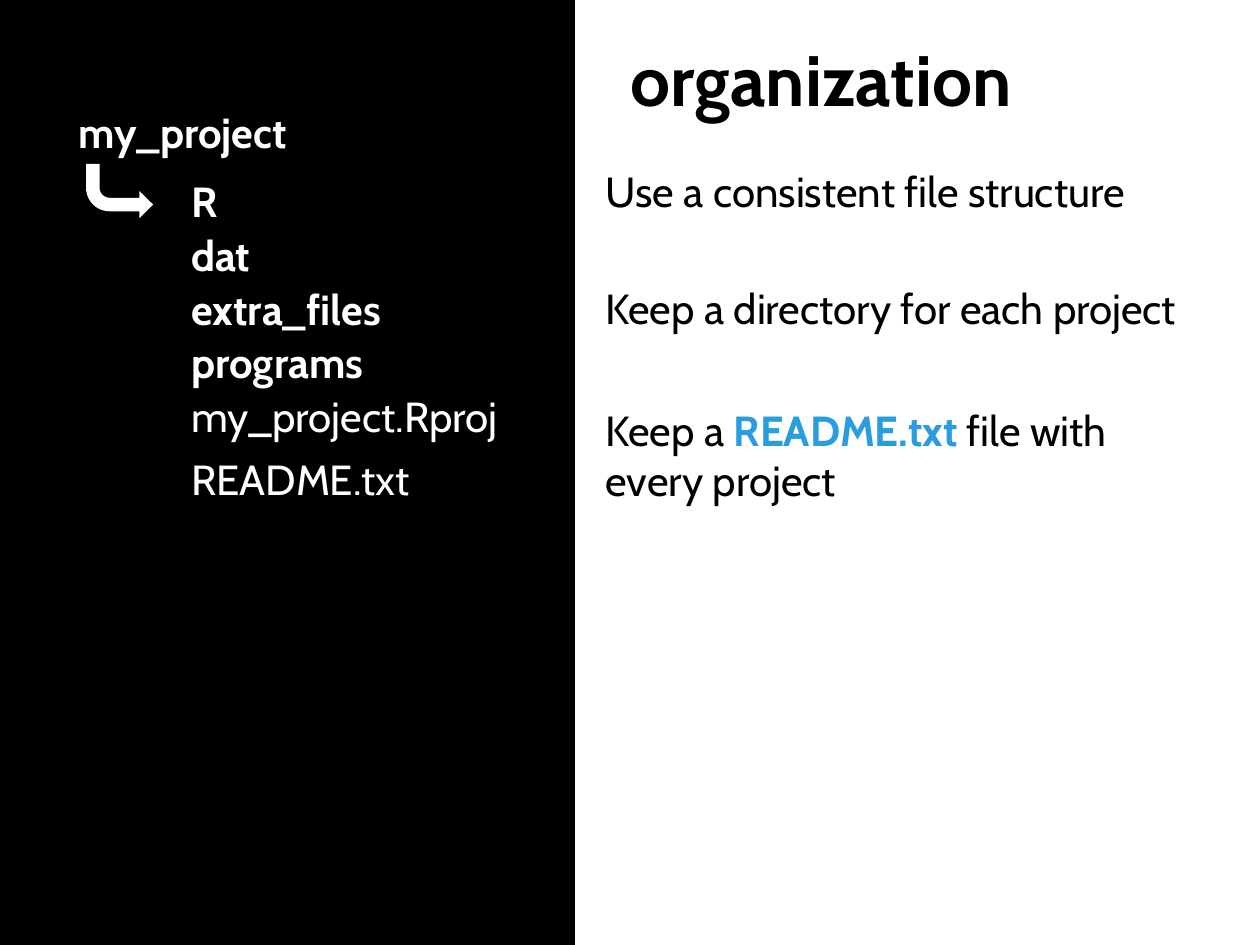
from pptx import Presentation
from pptx.dml.color import RGBColor
from pptx.enum.shapes import MSO_SHAPE
from pptx.enum.text import MSO_ANCHOR, MSO_AUTO_SIZE, PP_ALIGN
from pptx.oxml.ns import qn
from pptx.util import Emu, Pt

RECT, BENT_ARROW = MSO_SHAPE.RECTANGLE, MSO_SHAPE.BENT_ARROW
TOP, MIDDLE = MSO_ANCHOR.TOP, MSO_ANCHOR.MIDDLE
LEFT, CENTER = PP_ALIGN.LEFT, PP_ALIGN.CENTER
NO_FIT = MSO_AUTO_SIZE.NONE

THEME = {
    "font": "Cabin",
    "black": "000000", "white": "FFFFFF", "accent": "2A9DDF",
    "title": 40.7, "text": 24,
}

# A paragraph is (space before in pt, runs); a run is (text, bold, colour)
TITLE = [(0, [("organization", True, "black")])]
ADVICE = [
    (0, [("Use a consistent file structure", False, "black")]),
    (38, [("Keep a directory for each project", False, "black")]),
    (41, [("Keep a ", False, "black"), ("README.txt", True, "accent"),
          (" file with every project", False, "black")]),
]
ROOT = [(0, [("my_project", True, "white")])]
FILES = [
    (before, [(name, bold, "white")]) for before, name, bold in [
        (0, "R", True),
        (2, "dat", True),
        (2, "extra_files", True),
        (2, "programs", True),
        (2, "my_project.Rproj", False),
        (7, "README.txt", False),
    ]
]

# left, top, width, height in px
SLIDE = (1260, 945)
PANEL = (0, -3, 575, 968)
TITLE_BOX = (593, -3, 456, 161)
ADVICE_BOX = (593, 159, 610, 355)
ROOT_BOX = (66, 100, 482, 63)
FILES_BOX = (179, 169, 363, 344)
ARROW = (86, 164, 67, 54)


def px(n):
    return Emu(n * 914400 // 126)


def place(shape, box):
    shape.left, shape.top, shape.width, shape.height = map(px, box)


def write(shape, paragraphs, size="text", align=LEFT, anchor=TOP):
    tf = shape.text_frame
    tf.word_wrap, tf.auto_size, tf.vertical_anchor = True, NO_FIT, anchor
    for i, (before, runs) in enumerate(paragraphs):
        p = tf.paragraphs[0] if i == 0 else tf.add_paragraph()
        pPr = p._p.get_or_add_pPr()
        pPr.set("marL", "0")
        pPr.set("indent", "0")
        pPr.append(pPr.makeelement(qn("a:buNone"), {}))
        p.alignment, p.space_before = align, Pt(before)
        for text, bold, color in runs:
            r = p.add_run()
            r.text = text
            r.font.name, r.font.size, r.font.bold = THEME["font"], Pt(THEME[size]), bold
            r.font.color.rgb = RGBColor.from_string(THEME[color])


def add_solid(s, kind, box, color):
    sp = s.shapes.add_shape(kind, *map(px, box))
    sp.shadow.inherit = False
    sp.fill.solid()
    sp.fill.fore_color.rgb = RGBColor.from_string(THEME[color])
    sp.line.fill.background()
    return sp


def main():
    prs = Presentation()
    prs.slide_width, prs.slide_height = map(px, SLIDE)
    s = prs.slides.add_slide(prs.slide_layouts[1])
    title, body = s.shapes.title, s.placeholders[1]

    add_solid(s, RECT, PANEL, "black")
    place(title, TITLE_BOX)
    write(title, TITLE, size="title", align=CENTER, anchor=MIDDLE)
    place(body, ADVICE_BOX)
    write(body, ADVICE)
    for box, paragraphs in [(ROOT_BOX, ROOT), (FILES_BOX, FILES)]:
        write(s.shapes.add_textbox(*map(px, box)), paragraphs)

    arrow = add_solid(s, BENT_ARROW, ARROW, "white")
    arrow.rotation = 180
    arrow._element.spPr.xfrm.set("flipH", "1")

    prs.save("out.pptx")


if __name__ == "__main__":
    main()
